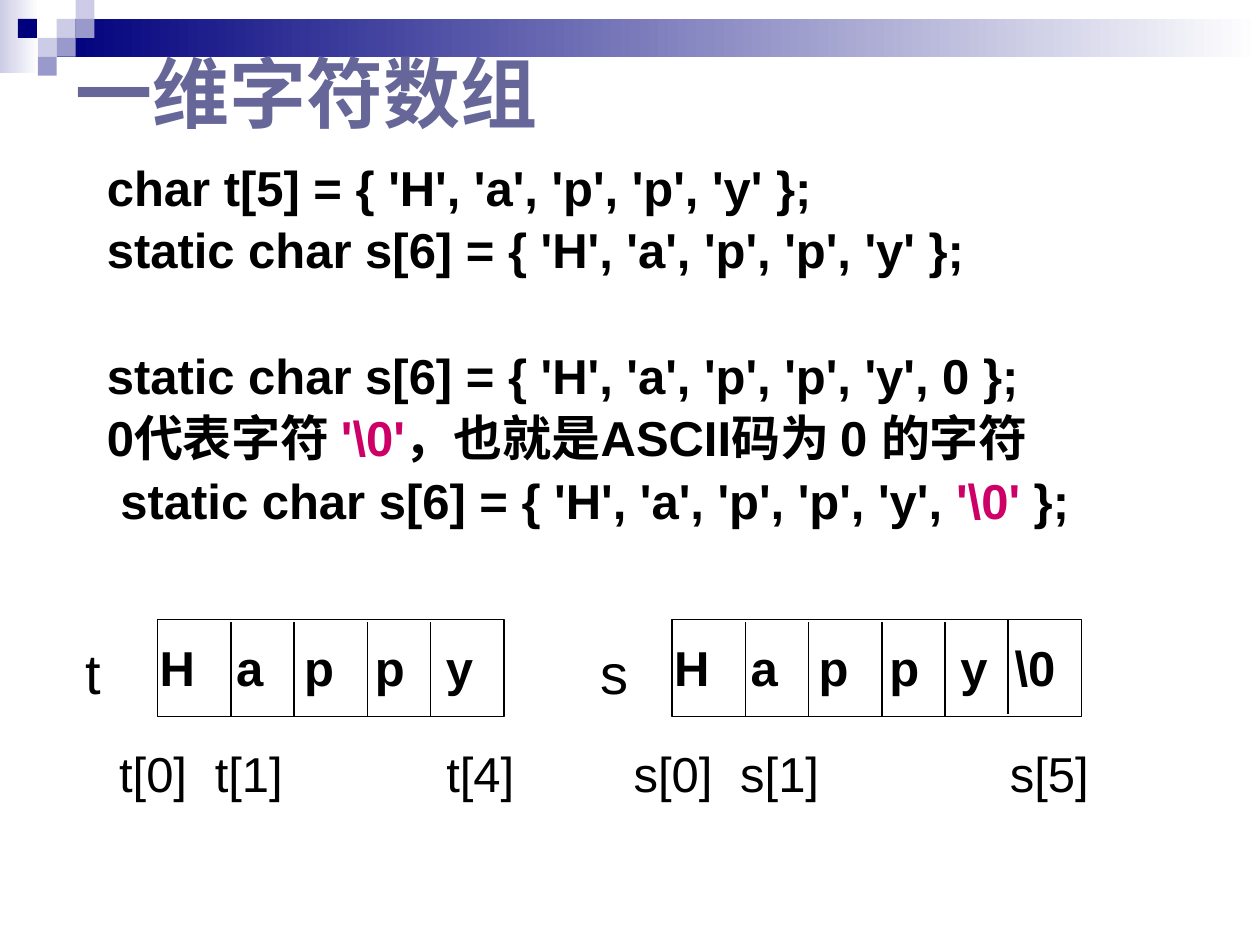
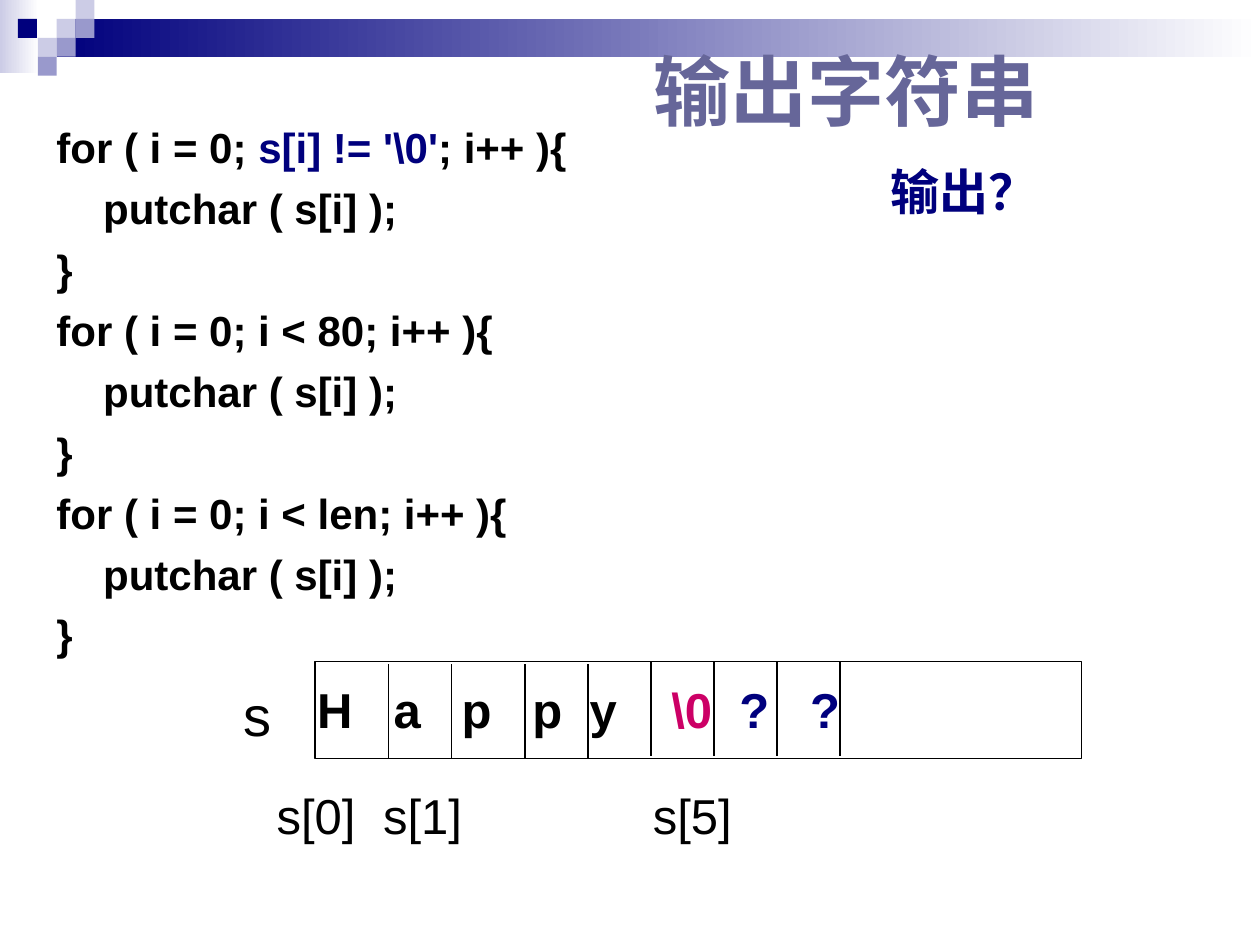
from dataclasses import dataclass
from typing import NamedTuple

from lxml.etree import SubElement
from pptx import Presentation
from pptx.dml.color import RGBColor
from pptx.enum.shapes import MSO_CONNECTOR as CONN, MSO_SHAPE as SHAPE
from pptx.enum.text import MSO_ANCHOR as ANCHOR, MSO_AUTO_SIZE as AUTO, PP_ALIGN as ALIGN
from pptx.oxml.ns import qn
from pptx.util import Emu, Inches, Pt

COLS, ROWS = 120, 90
WIDTH, HEIGHT = Inches(10), Inches(7.5)
BLOCK = 1.8
TITLE_ONLY = 5

BLACK = RGBColor(0x00, 0x00, 0x00)
WHITE = RGBColor(0xFF, 0xFF, 0xFF)
NAVY = RGBColor(0x00, 0x00, 0x7D)
SLATE = RGBColor(0x66, 0x66, 0x99)
MID = RGBColor(0x99, 0x99, 0xCC)
PALE = RGBColor(0xCC, 0xCC, 0xE6)
PINK = RGBColor(0xCC, 0x00, 0x66)

SANS, SERIF = "Arial", "TeX Gyre Pagella"


class Box(NamedTuple):
    col: float
    row: float
    cols: float
    rows: float

    def emu(self) -> tuple[Emu, Emu, Emu, Emu]:
        return x(self.col), y(self.row), x(self.cols), y(self.rows)


class Run(NamedTuple):
    text: str
    color: RGBColor = BLACK
    bold: bool = True
    font: str = SANS


class Para(NamedTuple):
    runs: list[Run]
    before: float = 0
    indent: float = 0
    spacing: float = 1.0


class Block(NamedTuple):
    col: float
    row: int
    color: RGBColor


@dataclass
class CharArray:
    name: str
    col: float
    row: float
    cols: float
    dividers: int
    letters: list[Run]
    letter_tabs: list[float]
    indexes: str
    index_tabs: list[float]


BLOCKS = [
    Block(3, 1, PALE), Block(4, 0, PALE), Block(4, 1, MID), Block(2, 2, PALE),
    Block(0.95, 1, NAVY), Block(3, 2, MID), Block(2, 3, MID),
]
DIVIDERS = [7, 13, 20, 26, 32, 38, 44, 50]
HIGH_DIVIDERS = 4
SPACER = Run(" ", font=SERIF)


def x(cols: float) -> Emu:
    return Emu(round(WIDTH * cols / COLS))


def y(rows: float) -> Emu:
    return Emu(round(HEIGHT * rows / ROWS))


def add_run(p, run: Run, size: float) -> None:
    r = p.add_run()
    r.text = run.text
    r.font.size = Pt(size)
    r.font.name = run.font
    r.font.bold = run.bold
    r.font.color.rgb = run.color


def add_tabs(p, stops: list[float]) -> None:
    tabs = SubElement(p._p.get_or_add_pPr(), qn("a:tabLst"))
    for stop in stops:
        SubElement(tabs, qn("a:tab"), pos=str(x(stop)), algn="l")


def add_line(slide, runs: list[Run], box: Box, size: float, tabs: list[float] = ()) -> None:
    tf = slide.shapes.add_textbox(*box.emu()).text_frame
    tf.word_wrap = True
    tf.auto_size = AUTO.SHAPE_TO_FIT_TEXT
    p = tf.paragraphs[0]
    if tabs:
        add_tabs(p, tabs)
    for run in runs:
        add_run(p, run, size)


def add_paras(slide, paras: list[Para], box: Box, size: float) -> None:
    tf = slide.shapes.add_textbox(*box.emu()).text_frame
    tf.word_wrap = True
    for i, para in enumerate(paras):
        p = tf.add_paragraph() if i else tf.paragraphs[0]
        p.line_spacing = para.spacing
        p.space_before = Pt(para.before)
        p._p.get_or_add_pPr().set("marL", str(x(para.indent)))
        for run in para.runs:
            add_run(p, run, size)


def add_rect(slide, box: Box):
    sp = slide.shapes.add_shape(SHAPE.RECTANGLE, *box.emu())
    sp.shadow.inherit = False
    return sp


def add_fade(slide, box: Box, color: RGBColor) -> None:
    sp = add_rect(slide, box)
    sp.line.fill.background()
    sp.fill.gradient()
    sp.fill.gradient_angle = 0
    for stop, rgb in zip(sp.fill.gradient_stops, (color, WHITE)):
        stop.color.rgb = rgb


def add_decoration(slide) -> None:
    add_fade(slide, Box(0, 0, 3.7, 7), PALE)
    add_fade(slide, Box(3 * BLOCK, BLOCK, COLS - 3 * BLOCK, 2 * BLOCK), NAVY)
    for block in BLOCKS:
        sp = add_rect(slide, Box(block.col * BLOCK, block.row * BLOCK, BLOCK, BLOCK))
        sp.fill.solid()
        sp.fill.fore_color.rgb = block.color
        sp.line.fill.background()


def add_slide(prs, title: str, box: Box):
    slide = prs.slides.add_slide(prs.slide_layouts[TITLE_ONLY])
    add_decoration(slide)
    sp = slide.shapes.title
    slide.shapes._spTree.append(sp._element)
    sp.left, sp.top, sp.width, sp.height = box.emu()
    tf = sp.text_frame
    tf.auto_size = AUTO.NONE
    tf.vertical_anchor = ANCHOR.MIDDLE
    p = tf.paragraphs[0]
    p.alignment = ALIGN.LEFT
    add_run(p, Run(title, SLATE), 44)
    return slide


def add_divider(slide, col: float, row: float) -> None:
    line = slide.shapes.add_connector(CONN.STRAIGHT, x(col), y(row), x(col), y(row + 9))
    line.line.color.rgb = BLACK
    line.line.width = Pt(1)
    SubElement(line._element.spPr, qn("a:effectLst"))


def add_array(slide, arr: CharArray) -> None:
    col, row = arr.col, arr.row
    sp = add_rect(slide, Box(col, row, arr.cols, 9.25))
    sp.fill.background()
    sp.line.color.rgb = BLACK
    sp.line.width = Pt(1)
    for i, offset in enumerate(DIVIDERS[:arr.dividers]):
        add_divider(slide, col + offset, row + (0.25 if i < HIGH_DIVIDERS else 0))
    add_line(slide, [Run(arr.name, bold=False)], Box(col - 8, row + 1.25, 7, 7.5), 32)
    add_line(slide, [SPACER, *arr.letters],
             Box(col - 2.15, row + 1.1, 59, 6.7), 28, arr.letter_tabs)
    add_line(slide, [SPACER, Run(arr.indexes, bold=False)],
             Box(col - 6, row + 11.2, 47, 6.7), 28, arr.index_tabs)


def declaration(*runs: Run, before: float = 5.6) -> Para:
    return Para(list(runs), before, indent=6, spacing=0.9)


def loop(*condition: Run) -> list[Para]:
    return [
        Para([Run("for ( i = 0; "), *condition, Run("; i++ ){")], 6),
        Para([Run("putchar ( s[i] );")], 6, indent=4.45),
        Para([Run("}")], 6),
    ]


def build_declarations(prs) -> None:
    slide = add_slide(prs, "一维字符数组", Box(6, 3, 96, 11.5))
    add_paras(slide, [
        declaration(Run("char t[5] = { 'H', 'a', 'p', 'p', 'y' };")),
        declaration(Run("static char s[6] = { 'H', 'a', 'p', 'p', 'y' };")),
        declaration(Run("static char s[6] = { 'H', 'a', 'p', 'p', 'y', 0 };"), before=41.3),
        declaration(Run("0代表字符 "), Run(r"'\0'", PINK), Run("，也就是ASCII码为 0 的字符")),
        declaration(Run(" static char s[6] = { 'H', 'a', 'p', 'p', 'y', "),
                    Run(r"'\0' ", PINK), Run("};")),
    ], Box(3, 15, 109, 40.5), 28)
    tabs = [8.46, 14.94, 21.68, 28.43]
    add_array(slide, CharArray("s", 64, 59, 39, 5, [Run("H\ta\tp\tp\ty\t\\0")], [*tabs, 33.6],
                               "s[0]\ts[1]\ts[5]", [11.32, 37]))
    add_array(slide, CharArray("t", 15, 59, 33, 4, [Run("H\ta\tp\tp\ty")], tabs,
                               "t[0]\tt[1]\tt[4]", [10.28, 32.33]))


def build_output(prs) -> None:
    slide = add_slide(prs, "输出字符串", Box(61, 3, 54, 11))
    add_paras(slide, [
        *loop(Run(r"s[i] != '\0'", NAVY)),
        *loop(Run("i < 80")),
        *loop(Run("i < len")),
    ], Box(4.2, 11, 67, 53), 24)
    letters = [Run("H\ta\tp\tp\ty\t"), Run("\\0\t", PINK), Run("?\t?", NAVY)]
    add_array(slide, CharArray("s", 30, 63, 73, 8, letters,
                               [8.46, 14.94, 21.68, 27.13, 34.91, 41.39, 48.13],
                               "s[0]\ts[1]\ts[5]", [11.32, 37]))
    add_line(slide, [Run("输出？", NAVY)], Box(83.6, 14.8, 21.7, 6.8), 28)


def main() -> None:
    prs = Presentation()
    prs.slide_width, prs.slide_height = WIDTH, HEIGHT
    build_declarations(prs)
    build_output(prs)
    prs.save("out.pptx")


if __name__ == "__main__":
    main()
